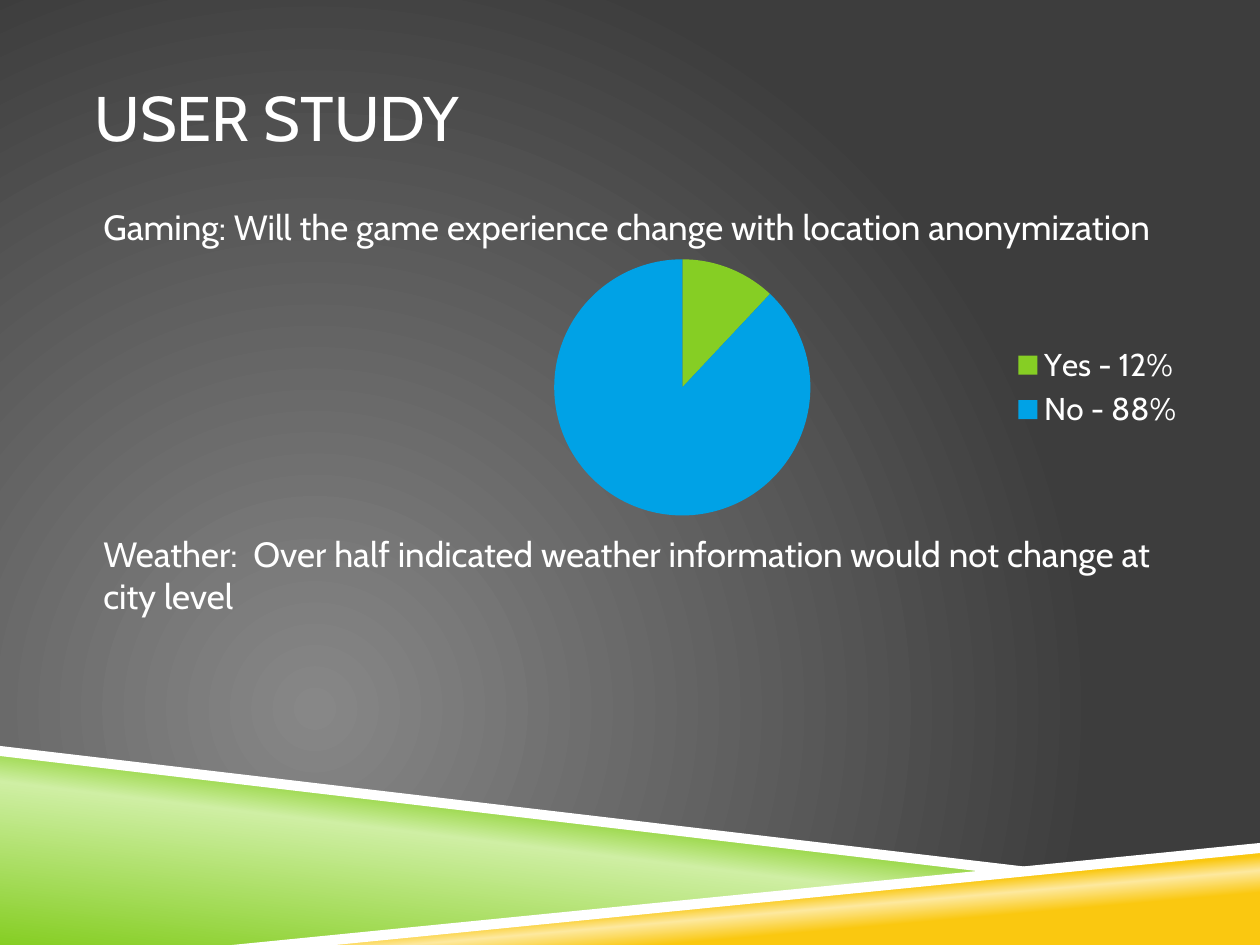
from lxml import etree
from pptx import Presentation
from pptx.chart.data import CategoryChartData
from pptx.dml.color import RGBColor
from pptx.enum.chart import XL_CHART_TYPE, XL_LEGEND_POSITION
from pptx.enum.text import MSO_ANCHOR
from pptx.oxml.ns import qn
from pptx.util import Inches, Pt

PIE = XL_CHART_TYPE.PIE
RIGHT = XL_LEGEND_POSITION.RIGHT
TOP = MSO_ANCHOR.TOP
MIDDLE = MSO_ANCHOR.MIDDLE

WHITE = RGBColor(0xFF, 0xFF, 0xFF)
GREEN = RGBColor(0x86, 0xCE, 0x24)
PALE_GREEN = RGBColor(0xCF, 0xEF, 0xA4)
YELLOW = RGBColor(0xFA, 0xC8, 0x10)
PALE_YELLOW = RGBColor(0xFD, 0xE9, 0x9F)
BLUE = RGBColor(0x00, 0xA2, 0xE6)
GRAY = RGBColor(0x87, 0x87, 0x87)
DARK_GRAY = RGBColor(0x3D, 0x3D, 0x3D)


class Deck:
    font = "Cabin"
    color = WHITE

    def __init__(self, width, height):
        self.prs = Presentation()
        self.prs.slide_width = Inches(width)
        self.prs.slide_height = Inches(height)
        self.s = self.prs.slides.add_slide(self.prs.slide_layouts[6])

    def gradient(self, fill, element, stops):
        fill.gradient()
        grad = next(element.iter(qn("a:gradFill")))
        for child in list(grad):
            grad.remove(child)
        gs_list = etree.SubElement(grad, qn("a:gsLst"))
        for pos, color in stops:
            gs = etree.SubElement(gs_list, qn("a:gs"), pos=str(pos * 1000))
            etree.SubElement(gs, qn("a:srgbClr"), val=str(color))
        return grad

    def background(self, stops, focus):
        grad = self.gradient(self.s.background.fill, self.s.element, stops)
        path = etree.SubElement(grad, qn("a:path"), path="circle")
        rect = {side: str(v * 1000) for side, v in zip("ltrb", focus)}
        etree.SubElement(path, qn("a:fillToRect"), rect)

    def polygon(self, points, color=None, stops=None, angle=0):
        start, *rest = [(Inches(x), Inches(y)) for x, y in points]
        builder = self.s.shapes.build_freeform(*start)
        builder.add_line_segments(rest, close=True)
        sp = builder.convert_to_shape()
        sp.shadow.inherit = False
        sp.line.fill.background()
        if stops:
            grad = self.gradient(sp.fill, sp.element, stops)
            etree.SubElement(grad, qn("a:lin"), ang=str(angle * 60000), scaled="0")
        else:
            sp.fill.solid()
            sp.fill.fore_color.rgb = color

    def style(self, font, size):
        font.name = self.font
        font.size = Pt(size)
        font.color.rgb = self.color

    def text(self, box, paragraphs, size, anchor=TOP, indent=0):
        tf = self.s.shapes.add_textbox(*map(Inches, box)).text_frame
        tf.word_wrap = True
        tf.vertical_anchor = anchor
        tf.margin_left = tf.margin_right = 0
        tf.text = "\n".join(text for text, _ in paragraphs)
        for p, (_, before) in zip(tf.paragraphs, paragraphs):
            p.space_before = Pt(before)
            pPr = p._p.get_or_add_pPr()
            pPr.set("marL", str(Inches(indent)))
            for r in p.runs:
                self.style(r.font, size)

    def pie(self, box, name, slices, size):
        data = CategoryChartData()
        data.categories = [label for label, _, _ in slices]
        data.add_series(name, [value for _, value, _ in slices])
        chart = self.s.shapes.add_chart(PIE, *map(Inches, box), data).chart
        self.style(chart.font, size)
        chart.has_title = False
        chart.has_legend = True
        chart.legend.position = RIGHT
        chart.legend.include_in_layout = False
        plot = chart.plots[0]
        plot.vary_by_categories = True
        for i, (_, _, color) in enumerate(slices):
            fill = plot.series[0].points[i].format.fill
            fill.solid()
            fill.fore_color.rgb = color


def main():
    deck = Deck(10, 7.5)
    deck.background([(0, GRAY), (100, DARK_GRAY)], (50, 100, 100, 50))
    deck.polygon([(0, 5.97), (7.92, 6.92), (2, 7.5), (0, 7.5)],
                 stops=[(0, GREEN), (52, PALE_GREEN), (66, GREEN)], angle=277)
    deck.polygon([(1.98, 7.5), (10, 6.72), (10, 7.5)],
                 stops=[(28, YELLOW), (40, PALE_YELLOW), (48, YELLOW)], angle=265)
    deck.polygon([(0, 5.92), (0, 6), (7.9, 6.93), (8.32, 6.9)], WHITE)
    deck.polygon([(10, 6.69), (1.84, 7.5), (2.66, 7.5), (10, 6.77)], WHITE)

    deck.text((0.75, 0.3, 8.5, 1.25), [("USER STUDY", 0)], 36, MIDDLE)
    deck.text((0.75, 1.58, 8.5, 4.08), [
        ("Gaming: Will the game experience change with location anonymization", 7),
        ("Weather:  Over half indicated weather information would not change at city level", 163),
    ], 20, indent=0.07)
    deck.pie((2.83, 1.92, 6.67, 2.31), "Series 1",
             [("Yes - 12%", 12, GREEN), ("No - 88%", 88, BLUE)], 18)
    deck.prs.save("out.pptx")


if __name__ == "__main__":
    main()
